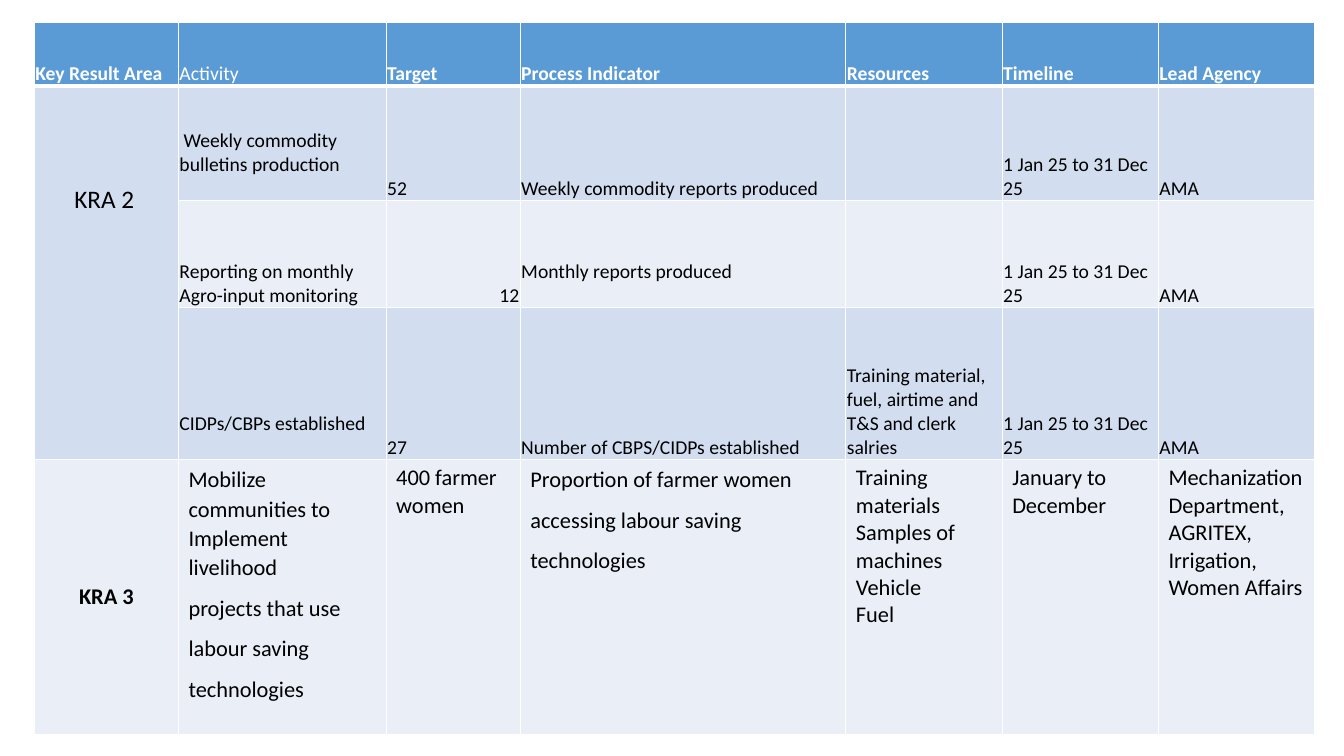
"""Build a work plan slide: a table of key result areas with a floating label."""
from dataclasses import dataclass

from lxml import etree
from pptx import Presentation
from pptx import util as u
from pptx.dml.color import RGBColor
from pptx.enum import text as t
from pptx.oxml import ns

HUES = {"head": "5B9BD5", "dark": "D2DEEF", "light": "EAEFF7",
        "white": "FFFFFF", "black": "000000"}
WIDTHS = [1.43, 2.06, 1.33, 3.23, 1.55, 1.55, 1.55]
DATES = "1 Jan 25 to 31 Dec 25"
LIFT = 0.24


@dataclass
class Cell:
    text: str = ""
    lift: float = 0
    indent: float = 0
    bold: bool = False
    align: t.PP_ALIGN = t.PP_ALIGN.LEFT
    anchor: t.MSO_ANCHOR | None = None
    line: float = 1
    after: float = 0


@dataclass
class Row:
    height: float
    fill: str
    cells: list[Cell]
    size: int = 14
    ink: str = "black"
    tight: bool = True
    anchor: t.MSO_ANCHOR = t.MSO_ANCHOR.BOTTOM


def loose(text: str) -> Cell:
    return Cell(text, line=1.07, after=8)


def bold(text: str) -> Cell:
    return Cell(text, bold=True)


ROWS = [
    Row(0.63, "head", [
        bold("Key Result Area"), Cell("Activity"), bold("Target"), bold("Process Indicator"),
        bold("Resources"), bold("Timeline"), bold("Lead Agency")], ink="white"),
    Row(1.14, "dark", [
        Cell(), Cell("Weekly commodity bulletins production", lift=LIFT, indent=0.04),
        Cell("52"), Cell("Weekly commodity reports produced"),
        Cell(), Cell(DATES), Cell("AMA")]),
    Row(1.06, "light", [
        Cell(), Cell("Reporting on monthly Agro-input monitoring"),
        Cell("12", align=t.PP_ALIGN.RIGHT), Cell("Monthly reports produced", lift=LIFT),
        Cell(), Cell(DATES), Cell("AMA")]),
    Row(1.51, "dark", [
        Cell(), Cell("CIDPs/CBPs established", lift=LIFT),
        Cell("27"), Cell("Number of CBPS/CIDPs established"),
        Cell("Training material, fuel, airtime and T&S and clerk salries"),
        Cell(DATES), Cell("AMA")]),
    Row(2.73, "light", [
        Cell("KRA 3", bold=True, align=t.PP_ALIGN.CENTER, anchor=t.MSO_ANCHOR.MIDDLE),
        loose("Mobilize communities to Implement livelihood\n"
              "projects that use\nlabour saving\ntechnologies"),
        Cell("400 farmer women"),
        loose("Proportion of farmer women\naccessing labour saving\ntechnologies"),
        Cell("Training materials\nSamples of machines\nVehicle\nFuel"),
        Cell("January to December"),
        Cell("Mechanization Department, AGRITEX, Irrigation, Women Affairs")],
        size=16, tight=False, anchor=t.MSO_ANCHOR.TOP),
]


def write(frame, text: str, *, size: int, ink: str = "black", bold: bool = False,
          align: t.PP_ALIGN = t.PP_ALIGN.LEFT, line: float = 1,
          after: float = 0, indent: float = 0) -> None:
    for i, part in enumerate(text.split("\n")):
        para = frame.paragraphs[0] if i == 0 else frame.add_paragraph()
        para.alignment = align
        para.line_spacing = line
        para.space_after = u.Pt(after)
        if indent:
            para._p.get_or_add_pPr().set("indent", str(u.Inches(indent)))
        run = para.add_run()
        run.text = part
        run.font.name = "Calibri"
        run.font.size = u.Pt(size)
        run.font.bold = bold
        run.font.color.rgb = RGBColor.from_string(HUES[ink])


def border(cell, top: float, bottom: float) -> None:
    props = cell._tc.get_or_add_tcPr()
    for side, width in (("L", 1), ("R", 1), ("T", top), ("B", bottom)):
        edge = etree.SubElement(props, ns.qn(f"a:ln{side}"), w=str(u.Pt(width)))
        fill = etree.SubElement(edge, ns.qn("a:solidFill"))
        etree.SubElement(fill, ns.qn("a:srgbClr"), val=HUES["white"])


def draw(box, cell: Cell, row: Row) -> None:
    box.fill.solid()
    box.fill.fore_color.rgb = RGBColor.from_string(HUES[row.fill])
    box.vertical_anchor = cell.anchor or row.anchor
    if row.tight:
        box.margin_left = box.margin_right = box.margin_top = u.Inches(0.01)
        box.margin_bottom = u.Inches(cell.lift)
    if cell.text:
        write(box.text_frame, cell.text, size=row.size, ink=row.ink, bold=cell.bold,
              align=cell.align, line=cell.line, after=cell.after, indent=cell.indent)


def plan(slide) -> None:
    table = slide.shapes.add_table(
        len(ROWS), len(WIDTHS), u.Inches(0.34), u.Inches(0.22), u.Inches(sum(WIDTHS)),
        u.Inches(sum(row.height for row in ROWS))).table
    table.first_row = table.horz_banding = False
    for col, width in zip(table.columns, WIDTHS):
        col.width = u.Inches(width)
    for r, row in enumerate(ROWS):
        table.rows[r].height = u.Inches(row.height)
        for c, cell in enumerate(row.cells):
            box = table.cell(r, c)
            border(box, top=3 if r == 1 else 1, bottom=3 if r == 0 else 1)
            draw(box, cell, row)
    table.cell(1, 0).merge(table.cell(3, 0))


def main() -> None:
    deck = Presentation()
    deck.slide_width, deck.slide_height = u.Inches(13.33), u.Inches(7.5)
    slide = deck.slides.add_slide(deck.slide_layouts[6])
    plan(slide)
    label = slide.shapes.add_textbox(
        u.Inches(0.64), u.Inches(1.77), u.Inches(1.04), u.Inches(0.4)).text_frame
    label.word_wrap = True
    label.auto_size = t.MSO_AUTO_SIZE.SHAPE_TO_FIT_TEXT
    write(label, "KRA 2", size=18)
    deck.save("out.pptx")


if __name__ == "__main__":
    main()
